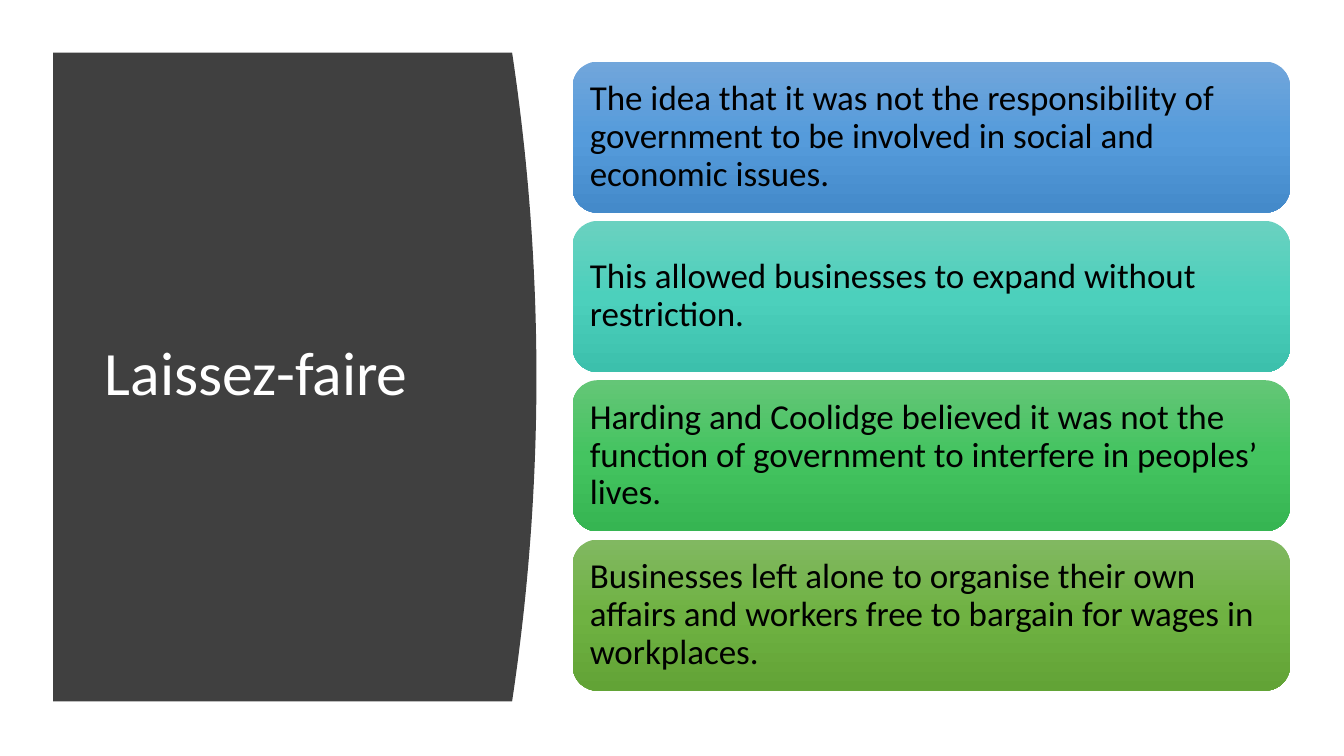
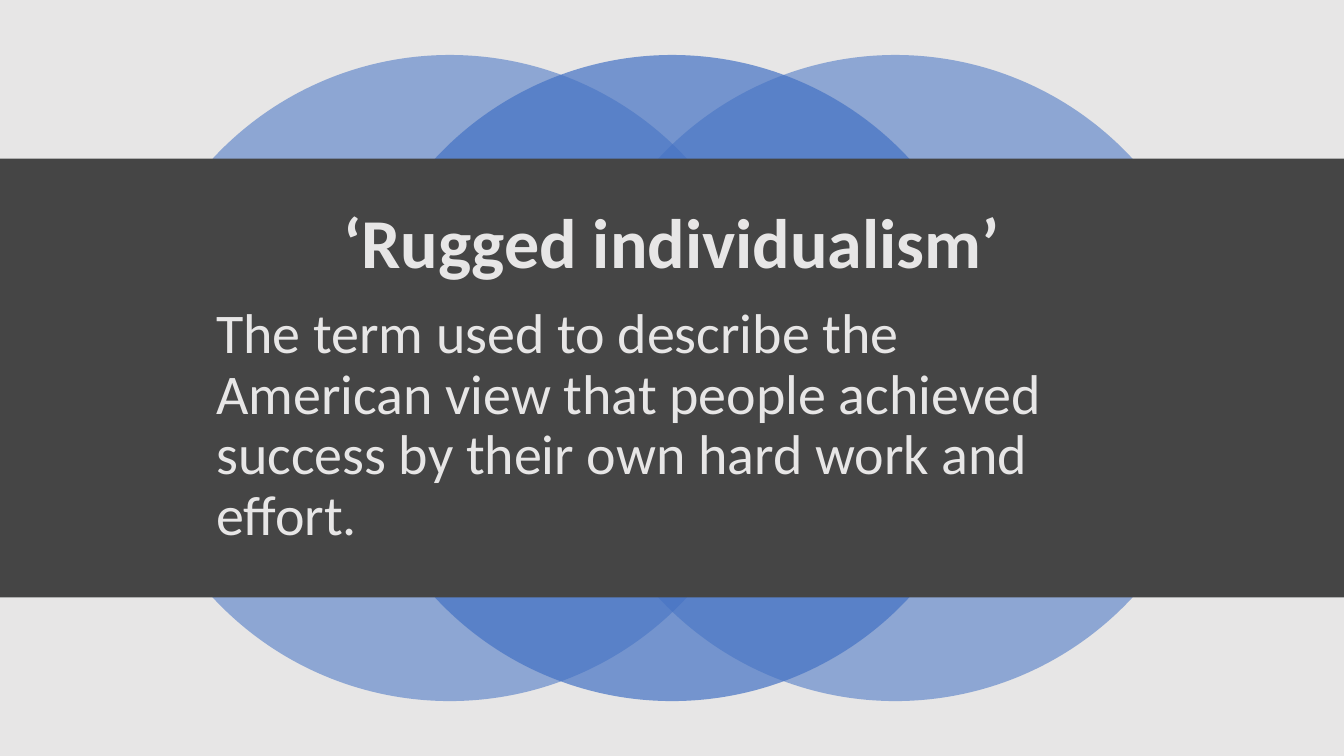
import copy

import pptx
import pptx.dml.color
import pptx.enum.shapes
import pptx.enum.text
import pptx.oxml
import pptx.oxml.ns
import pptx.util

Pt = pptx.util.Pt
RGBColor = pptx.dml.color.RGBColor
Shape = pptx.enum.shapes.MSO_SHAPE
Align = pptx.enum.text.PP_ALIGN
Anchor = pptx.enum.text.MSO_ANCHOR

# Shared style
SLIDE_WIDTH, SLIDE_HEIGHT = 960, 540
FONT = "Calibri"
LINE_SPACING = 0.9
WHITE = RGBColor(0xFF, 0xFF, 0xFF)
BLACK = RGBColor(0x00, 0x00, 0x00)
PANEL_GREY = RGBColor(0x40, 0x40, 0x40)
BAND_GREY = RGBColor(0x45, 0x45, 0x45)
LIGHT_GREY = RGBColor(0xE7, 0xE6, 0xE6)
CIRCLE_BLUE = RGBColor(0x44, 0x72, 0xC4)

# Slide 1 content: card text and gradient from top to bottom
PANEL_TITLE = "Laissez-faire"
CARDS = [
    ("The idea that it was not the responsibility of government to be involved "
     "in social and economic issues.", ("71A6DB", "559BDB", "448ACA")),
    ("This allowed businesses to expand without restriction.",
     ("6AD1C0", "4CD0BC", "3CC0AC")),
    ("Harding and Coolidge believed it was not the function of government to "
     "interfere in peoples’ lives.", ("64C677", "44C460", "36B552")),
    ("Businesses left alone to organise their own affairs and workers free to "
     "bargain for wages in workplaces.", ("81B861", "6FB242", "62A336")),
]
CARD_LEFT, CARD_TOP, CARD_WIDTH, CARD_HEIGHT = 409, 44, 512.5, 108
CARD_PITCH = 113.8
PANEL_LEFT, PANEL_TOP, PANEL_RIGHT, PANEL_HEIGHT = 38, 37.5, 365.8, 463.5
PANEL_BULGE = 17.4
PANEL_STEPS = 48

# Slide 2 content: circle left edge and opacity in percent, back to front
BAND_TITLE = "‘Rugged individualism’"
BAND_TEXT = ("The term used to describe the American view that people achieved "
             "success by their own hard work and effort.")
CIRCLES = [(90.5, 55), (408.8, 55), (249.3, 70)]
CIRCLE_TOP, CIRCLE_SIZE = 39.3, 461.5


def write_text(shape, text, size, color, anchor=Anchor.MIDDLE,
               alignment=Align.LEFT, bold=False):
    frame = shape.text_frame
    paragraph = frame.paragraphs[0]
    paragraph.text = text
    formats = [
        (frame, {"word_wrap": True, "vertical_anchor": anchor}),
        (paragraph, {"alignment": alignment, "line_spacing": LINE_SPACING}),
        (paragraph.font, {"name": FONT, "size": Pt(size), "bold": bold}),
        (paragraph.font.color, {"rgb": color}),
    ]
    for target, values in formats:
        for name, value in values.items():
            setattr(target, name, value)


def add_text(slide, box, *args, **options):
    write_text(slide.shapes.add_textbox(*map(Pt, box)), *args, **options)


def finish(shape, color=None):
    shape.shadow.inherit = False
    shape.line.fill.background()
    if color is not None:
        shape.fill.solid()
        shape.fill.fore_color.rgb = color
    return shape


def add_plain_shape(slide, kind, box, color=None):
    return finish(slide.shapes.add_shape(kind, *map(Pt, box)), color)


def set_gradient(shape, colors):
    shape.fill.gradient()
    shape.fill.gradient_angle = 270
    stop_list = shape._element.spPr.find(".//" + pptx.oxml.ns.qn("a:gsLst"))
    stop_list.insert(1, copy.deepcopy(stop_list[0]))
    for index, (stop, color) in enumerate(zip(shape.fill.gradient_stops, colors)):
        stop.position = index / (len(colors) - 1)
        stop.color.rgb = RGBColor.from_string(color)


def set_opacity(shape, percent):
    color = shape._element.spPr.find(".//" + pptx.oxml.ns.qn("a:srgbClr"))
    alpha = pptx.oxml.parse_xml(
        f'<a:alpha {pptx.oxml.ns.nsdecls("a")} val="{percent * 1000}"/>')
    color.append(alpha)


def build_cards_slide(slide):
    # Dark panel whose right edge is a shallow parabola
    edge = []
    for step in range(PANEL_STEPS + 1):
        share = step / PANEL_STEPS
        bulge = PANEL_BULGE * (1 - (2 * share - 1) ** 2)
        edge.append((Pt(PANEL_RIGHT + bulge), Pt(PANEL_TOP + PANEL_HEIGHT * share)))
    builder = slide.shapes.build_freeform(Pt(PANEL_LEFT), Pt(PANEL_TOP))
    builder.add_line_segments(edge + [(Pt(PANEL_LEFT), Pt(PANEL_TOP + PANEL_HEIGHT))])
    finish(builder.convert_to_shape(), PANEL_GREY)
    add_text(slide, (67.7, 80, 269, 377), PANEL_TITLE, 44, WHITE)

    # Stack of gradient cards
    for index, (text, colors) in enumerate(CARDS):
        top = CARD_TOP + index * CARD_PITCH
        card = add_plain_shape(slide, Shape.ROUNDED_RECTANGLE,
                               (CARD_LEFT, top, CARD_WIDTH, CARD_HEIGHT))
        set_gradient(card, colors)
        write_text(card, text, 25, BLACK)
        for side in ("left", "top", "right", "bottom"):
            setattr(card.text_frame, f"margin_{side}", Pt(7.2))


def build_band_slide(slide):
    # Backdrop with overlapping circles
    add_plain_shape(slide, Shape.RECTANGLE, (0, 0, SLIDE_WIDTH, SLIDE_HEIGHT), LIGHT_GREY)
    for left, opacity in CIRCLES:
        circle = add_plain_shape(slide, Shape.OVAL,
                                 (left, CIRCLE_TOP, CIRCLE_SIZE, CIRCLE_SIZE), CIRCLE_BLUE)
        set_opacity(circle, opacity)

    # Dark band with title and text
    add_plain_shape(slide, Shape.RECTANGLE, (0, 113.3, SLIDE_WIDTH, 313.4), BAND_GREY)
    add_text(slide, (66, 139, 828, 73.4), BAND_TITLE, 50, LIGHT_GREY,
             alignment=Align.CENTER, bold=True)
    add_text(slide, (147.5, 214.6, 665, 166.3), BAND_TEXT, 40, LIGHT_GREY,
             anchor=Anchor.TOP)


def main():
    presentation = pptx.Presentation()
    presentation.slide_width = Pt(SLIDE_WIDTH)
    presentation.slide_height = Pt(SLIDE_HEIGHT)
    for build in (build_cards_slide, build_band_slide):
        build(presentation.slides.add_slide(presentation.slide_layouts[6]))
    presentation.save("out.pptx")


if __name__ == "__main__":
    main()
